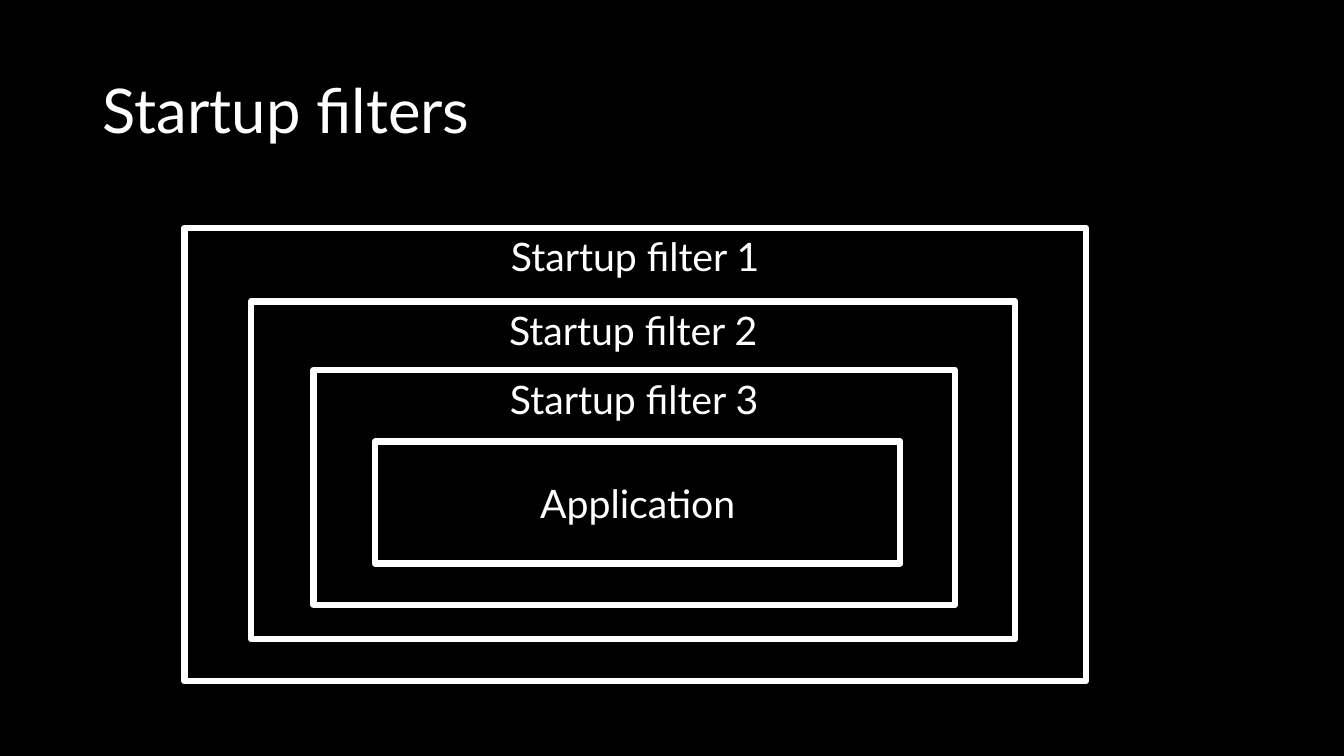
from pptx import Presentation
from pptx.dml.color import RGBColor as RGB
from pptx.enum.shapes import MSO_SHAPE as Shape
from pptx.enum.text import MSO_ANCHOR as Anchor, PP_ALIGN as Align
from pptx.util import Inches, Pt

# Content: label, box (left, top, width, height), anchor
TITLE = ("Startup filters", (0.92, 0.4, 11.5, 1.45), Anchor.MIDDLE)
LAYERS = [
    ("Startup filter 1", (1.83, 2.26, 8.94, 4.5), Anchor.TOP),
    ("Startup filter 2", (2.49, 2.99, 7.58, 3.35), Anchor.TOP),
    ("Startup filter 3", (3.11, 3.67, 6.36, 2.33), Anchor.TOP),
    ("Application", (3.72, 4.38, 5.21, 1.21), Anchor.MIDDLE),
]

THEME = {
    "back": RGB(0, 0, 0),
    "ink": RGB(255, 255, 255),
    "line": Pt(4.5),
    "title": {"name": "Lato", "size": Pt(44)},
    "label": {"name": "Lato", "size": Pt(28)},
}


def write(shape, text, anchor, style, form):
    frame = shape.text_frame
    frame.word_wrap = True
    frame.vertical_anchor = anchor
    para = frame.paragraphs[0]
    for key, val in form.items():
        setattr(para, key, val)
    run = para.add_run()
    run.text = text
    for key, val in THEME[style].items():
        setattr(run.font, key, val)
    run.font.color.rgb = THEME["ink"]


def main():
    deck = Presentation()
    deck.slide_width, deck.slide_height = Inches(13.33), Inches(7.5)
    slide = deck.slides.add_slide(deck.slide_layouts[6])
    fill = slide.background.fill
    fill.solid()
    fill.fore_color.rgb = THEME["back"]

    # Title
    text, box, anchor = TITLE
    head = slide.shapes.add_textbox(*map(Inches, box))
    write(head, text, anchor, "title", {"line_spacing": 0.9})

    # Nested layers, outermost first
    for text, box, anchor in LAYERS:
        layer = slide.shapes.add_shape(Shape.RECTANGLE, *map(Inches, box))
        layer.shadow.inherit = False
        layer.fill.background()
        layer.line.color.rgb = THEME["ink"]
        layer.line.width = THEME["line"]
        write(layer, text, anchor, "label", {"alignment": Align.CENTER})

    deck.save("out.pptx")


if __name__ == "__main__":
    main()
